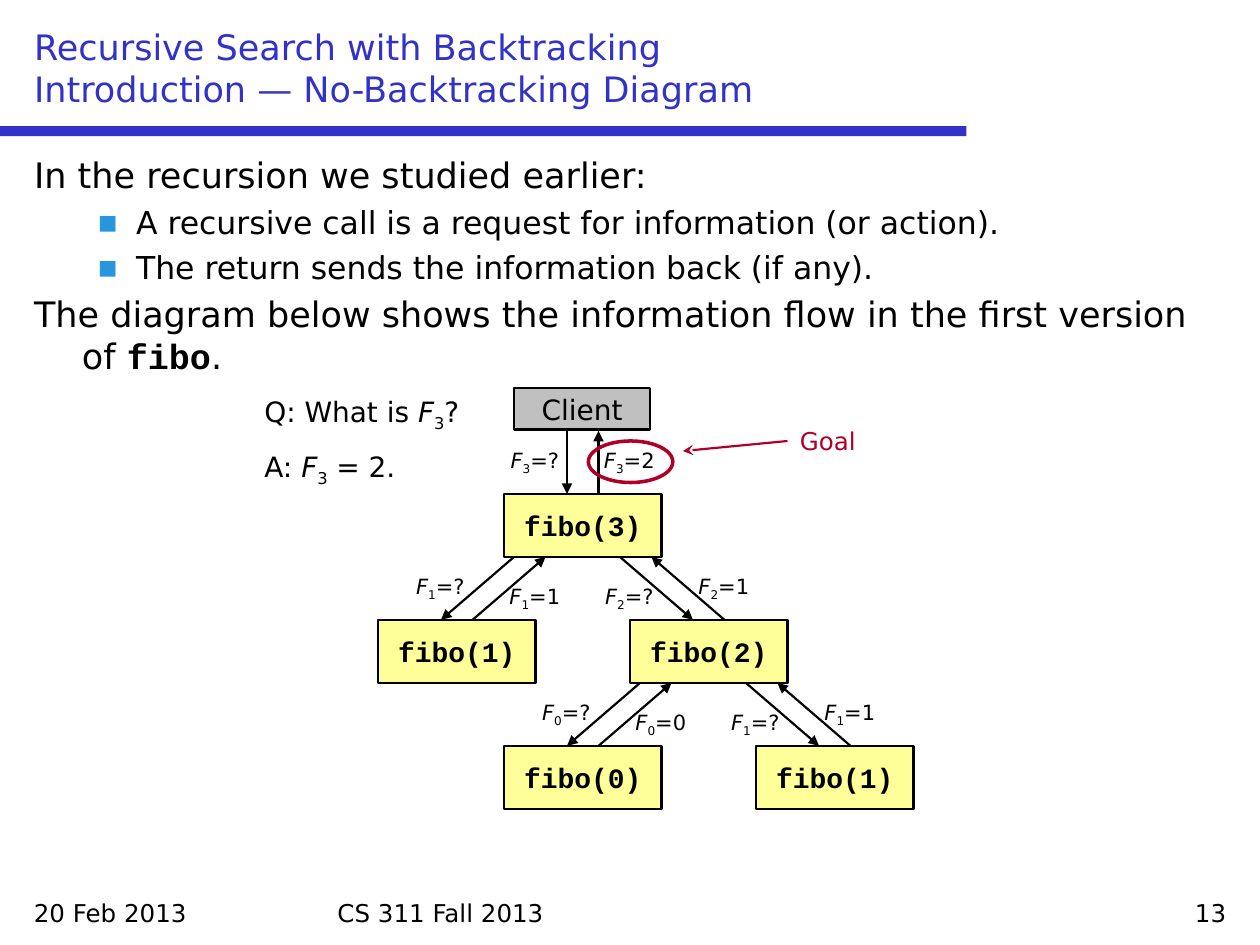
"""Build the slide on information flow in recursion without backtracking."""
from dataclasses import dataclass

from lxml import etree
from pptx import Presentation
from pptx.dml.color import RGBColor
from pptx.enum.shapes import MSO_CONNECTOR, MSO_SHAPE
from pptx.enum.text import MSO_ANCHOR, MSO_AUTO_SIZE, PP_ALIGN
from pptx.oxml.ns import qn
from pptx.util import Inches, Pt

LEFT, CENTER, RIGHT = PP_ALIGN.LEFT, PP_ALIGN.CENTER, PP_ALIGN.RIGHT
TOP, MIDDLE, BOTTOM = MSO_ANCHOR.TOP, MSO_ANCHOR.MIDDLE, MSO_ANCHOR.BOTTOM
RECTANGLE, OVAL = MSO_SHAPE.RECTANGLE, MSO_SHAPE.OVAL
STRAIGHT = MSO_CONNECTOR.STRAIGHT
NO_AUTOFIT = MSO_AUTO_SIZE.NONE


@dataclass(frozen=True)
class Theme:
    accent: str = "3232C8"
    bullet: str = "2896DC"
    ink: str = "000000"
    call: str = "FFFF99"
    client: str = "C0C0C0"
    goal: str = "AF0028"
    sans: str = "DejaVu Sans"
    mono: str = "Courier New"
    heading: int = 20
    point: int = 18
    node: int = 16
    note: int = 14
    label: int = 12
    stroke: float = 1.25
    ring: float = 2


theme = Theme()


def add_runs(paragraph, runs, size, color=theme.ink):
    for text, style in runs:
        run = paragraph.add_run()
        run.text = text
        run.font.size = Pt(size)
        run.font.color.rgb = RGBColor.from_string(color)
        run.font.name = theme.mono if style == "code" else theme.sans
        run.font.bold = style == "code"
        run.font.italic = style == "italic"
        if style == "sub":
            run.font._element.set("baseline", "-25000")


def add_arrow(start, end, color=theme.ink, head="triangle"):
    x1, y1, x2, y2 = (Inches(value) for value in (*start, *end))
    arrow = slide.shapes.add_connector(STRAIGHT, x1, y1, x2, y2)
    arrow.line.width = Pt(theme.stroke)
    arrow.line.color.rgb = RGBColor.from_string(color)
    etree.SubElement(arrow.line._get_or_add_ln(), qn("a:tailEnd"), type=head)
    etree.SubElement(arrow._element.spPr, qn("a:effectLst"))


deck = Presentation()
deck.slide_width, deck.slide_height = Inches(10), Inches(7.5)
slide = deck.slides.add_slide(deck.slide_layouts[1])

rule = slide.shapes.add_shape(RECTANGLE, 0, Inches(1), Inches(7.67), Inches(0.08))
rule.shadow.inherit = False
rule.fill.solid()
rule.fill.fore_color.rgb = RGBColor.from_string(theme.accent)
rule.line.fill.background()

title, body = slide.placeholders
for holder, top, height, anchor in ((title, 0.17, 0.75, BOTTOM), (body, 1.17, 5.83, TOP)):
    holder.left, holder.top = Inches(0.17), Inches(top)
    holder.width, holder.height = Inches(9.67), Inches(height)
    holder.text_frame.auto_size = NO_AUTOFIT
    holder.text_frame.vertical_anchor = anchor

heading = title.text_frame.paragraphs[0]
heading.alignment = LEFT
add_runs(heading, [("Recursive Search with Backtracking", "")], theme.heading, theme.accent)
heading.add_line_break()
add_runs(heading, [("Introduction — No-Backtracking Diagram", "")], theme.heading, theme.accent)

statements = [
    (0, [("In the recursion we studied earlier:", "")]),
    (1, [("A recursive call is a request for information (or action).", "")]),
    (1, [("The return sends the information back (if any).", "")]),
    (0, [("The diagram below shows the information flow in the first version of ", ""),
         ("fibo", "code"), (".", "")]),
]
for index, (level, runs) in enumerate(statements):
    statement = body.text_frame.add_paragraph() if index else body.text_frame.paragraphs[0]
    statement.level = level
    statement.space_before = Pt(4 if index else 0)
    margin, indent = ((0.38, -0.38), (0.81, -0.31))[level]
    properties = statement._p.get_or_add_pPr()
    properties.set("marL", str(Inches(margin)))
    properties.set("indent", str(Inches(indent)))
    if level:
        bullet_color = etree.SubElement(properties, qn("a:buClr"))
        etree.SubElement(bullet_color, qn("a:srgbClr"), val=theme.bullet)
        etree.SubElement(properties, qn("a:buFont"), typeface=theme.sans)
        etree.SubElement(properties, qn("a:buChar"), char="▪")
    else:
        etree.SubElement(properties, qn("a:buNone"))
    add_runs(statement, runs, theme.point if level else theme.heading)

nodes = [("Client", "", 4.08, 3.08, 1.08, 0.33, theme.client)]
for argument, left, top in ((3, 4, 3.92), (1, 3, 4.92), (2, 5, 4.92), (0, 4, 5.92), (1, 6, 5.92)):
    nodes.append((f"fibo({argument})", "code", left, top, 1.25, 0.5, theme.call))
for name, style, left, top, width, height, fill in nodes:
    node = slide.shapes.add_shape(
        RECTANGLE, Inches(left), Inches(top), Inches(width), Inches(height))
    node.shadow.inherit = False
    node.fill.solid()
    node.fill.fore_color.rgb = RGBColor.from_string(fill)
    node.line.color.rgb = RGBColor.from_string(theme.ink)
    node.line.width = Pt(theme.stroke)
    node.text_frame.word_wrap = False
    node.text_frame.vertical_anchor = MIDDLE
    node.text_frame.paragraphs[0].alignment = CENTER
    add_runs(node.text_frame.paragraphs[0], [(name, style)], theme.node)

add_arrow((4.5, 3.42), (4.5, 3.92))
add_arrow((4.75, 3.92), (4.75, 3.42))
flows = [(3, "?", 3.83, 3.5), (3, "2", 4.58, 3.5)]
for x, y, left_call, right_call in ((4, 3.92, (1, "1"), (2, "1")), (5, 4.92, (0, "0"), (1, "1"))):
    add_arrow((x + 0.08, y + 0.5), (x - 0.5, y + 1))
    add_arrow((x - 0.25, y + 1), (x + 0.33, y + 0.5))
    add_arrow((x + 0.92, y + 0.5), (x + 1.5, y + 1))
    add_arrow((x + 1.75, y + 1), (x + 1.17, y + 0.5))
    flows += [
        (left_call[0], "?", x - 0.92, y + 0.58),
        (*left_call, x - 0.17, y + 0.66),
        (right_call[0], "?", x + 0.58, y + 0.66),
        (*right_call, x + 1.33, y + 0.58),
    ]

question = [("Q: What is ", ""), ("F", "italic"), ("3", "sub"), ("?", "")]
answer = [("A: ", ""), ("F", "italic"), ("3", "sub"), (" = 2.", "")]
notes = [
    (0.17, 7.08, 2.33, 0.33, LEFT, theme.note, theme.ink, [[("20 Feb 2013", "")]]),
    (2.58, 7.08, 4.83, 0.33, LEFT, theme.note, theme.ink, [[("CS 311 Fall 2013", "")]]),
    (7.5, 7.08, 2.33, 0.33, RIGHT, theme.note, theme.ink, [[("13", "")]]),
    (6.25, 3.33, 1.33, 0.34, LEFT, theme.note, theme.goal, [[("Goal", "")]]),
    (2, 3.08, 1.92, 0.78, LEFT, theme.node, theme.ink, [question, answer]),
]
for number, value, left, top in flows:
    flow = [("F", "italic"), (str(number), "sub"), (f"={value}", "")]
    notes.append((left, top, 0.83, 0.3, CENTER, theme.label, theme.ink, [flow]))
for left, top, width, height, alignment, size, color, lines in notes:
    note = slide.shapes.add_textbox(Inches(left), Inches(top), Inches(width), Inches(height))
    note.text_frame.word_wrap = True
    for index, runs in enumerate(lines):
        line = note.text_frame.add_paragraph() if index else note.text_frame.paragraphs[0]
        line.alignment = alignment
        line.space_before = Pt(10 if index else 0)
        add_runs(line, runs, size, color)

add_arrow((6.25, 3.5), (5.42, 3.58), theme.goal, "stealth")
goal_ring = slide.shapes.add_shape(OVAL, Inches(4.67), Inches(3.5), Inches(0.67), Inches(0.33))
goal_ring.shadow.inherit = False
goal_ring.fill.background()
goal_ring.line.color.rgb = RGBColor.from_string(theme.goal)
goal_ring.line.width = Pt(theme.ring)

deck.save("out.pptx")
